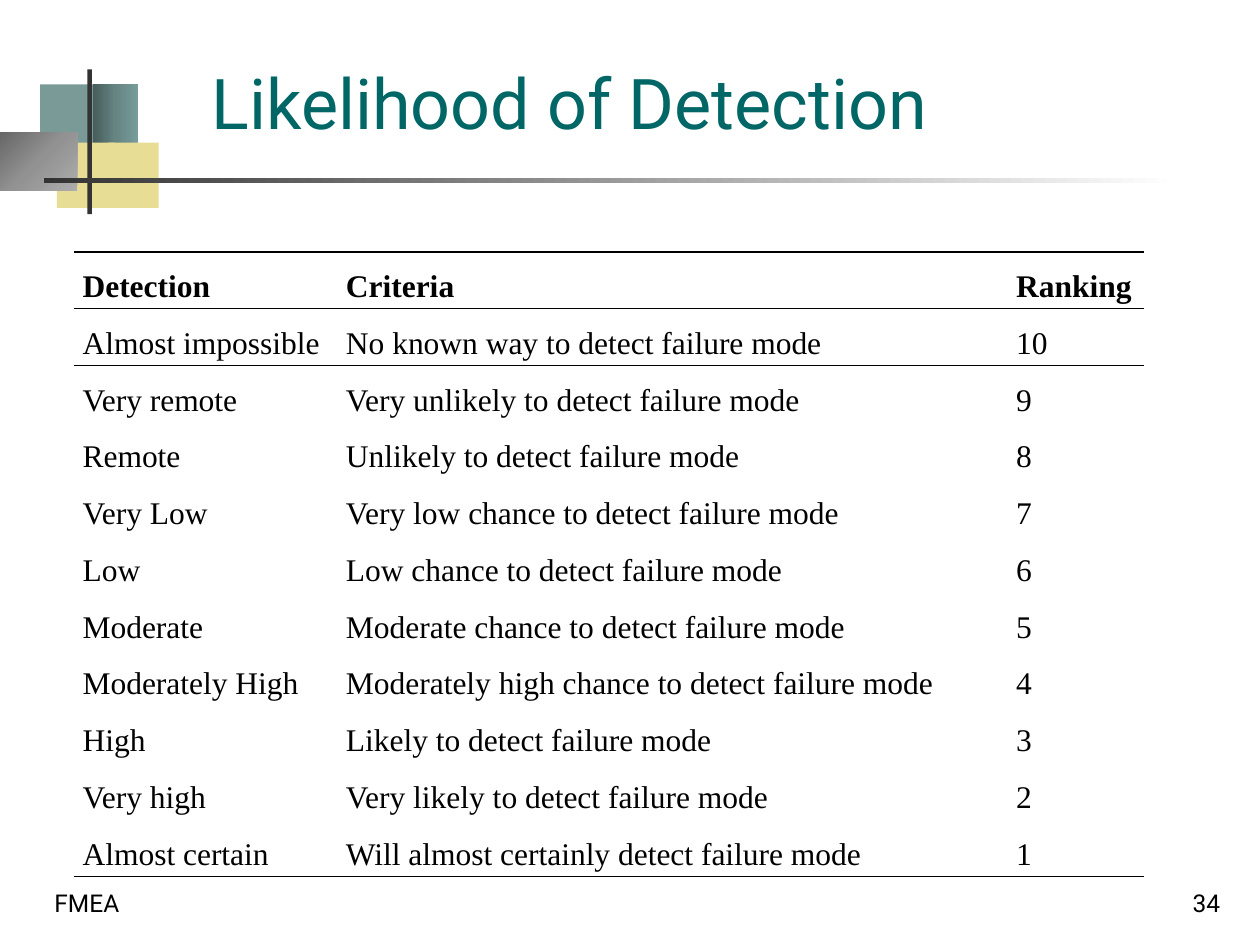
from typing import NamedTuple

from lxml import etree
from pptx import Presentation
from pptx.dml.color import RGBColor
from pptx.enum.shapes import MSO_SHAPE
from pptx.enum.text import MSO_ANCHOR, PP_ALIGN
from pptx.oxml import parse_xml
from pptx.oxml.ns import nsdecls, qn
from pptx.util import Pt

RECTANGLE = MSO_SHAPE.RECTANGLE
BOTTOM = MSO_ANCHOR.BOTTOM
LEFT, RIGHT = PP_ALIGN.LEFT, PP_ALIGN.RIGHT
SANS, SERIF = "Roboto", "Times New Roman"
BLACK, TEAL = "000000", "006666"
PLAIN_TABLE_STYLE = "{2D5ABB26-0587-4C30-8999-92F81FD0307C}"
ACROSS = '<a:lin ang="0" scaled="1"/>'
FROM_CORNER = '<a:path path="circle"><a:fillToRect r="100000" b="100000"/></a:path>'

ROW_HEIGHT = 32.4
COLUMN_WIDTHS = (150.5, 383, 78)
HEADINGS = ("Detection", "Criteria", "Ranking")
LEVELS = (
    ("Almost impossible", "No known way to detect failure mode"),
    ("Very remote", "Very unlikely to detect failure mode"),
    ("Remote", "Unlikely to detect failure mode"),
    ("Very Low", "Very low chance to detect failure mode"),
    ("Low", "Low chance to detect failure mode"),
    ("Moderate", "Moderate chance to detect failure mode"),
    ("Moderately High", "Moderately high chance to detect failure mode"),
    ("High", "Likely to detect failure mode"),
    ("Very high", "Very likely to detect failure mode"),
    ("Almost certain", "Will almost certainly detect failure mode"),
)


class Block(NamedTuple):
    """A decorative rectangle; several colours make an even gradient."""
    left: float
    top: float
    width: float
    height: float
    colors: tuple[str, ...]
    direction: str = ACROSS


class Label(NamedTuple):
    """A free-standing line of text, anchored to the bottom of its box."""
    text: str
    left: float
    top: float
    width: float
    height: float
    size: float
    color: str = BLACK
    align: PP_ALIGN = LEFT


BLOCKS = (
    Block(23, 48.2, 34.5, 37.4, ("7A9A98",)),
    Block(53.2, 48.2, 25.8, 37.4, ("475D5B", "658482", "789C9A")),
    Block(32.6, 81.5, 33, 37.4, ("E7DD95",)),
    Block(62, 81.5, 28.7, 37.4, ("E7DD95",)),
    Block(0, 75.6, 44.2, 33.3, ("676767", "929292", "ADADAD"), FROM_CORNER),
    Block(50, 39.6, 2.5, 82.8, ("333333",)),
    Block(25.2, 102, 648, 2.5, ("333333", "FFFFFF")),
)
LABELS = (
    Label("Likelihood of Detection", 114, 24, 559, 61.8, 40, TEAL),
    Label("FMEA", 24, 492, 150, 36, 14),
    Label("34", 554.4, 492, 150, 36, 14, align=RIGHT),
)


def rgb(color: str) -> RGBColor:
    """Turn a hex string into a colour."""
    return RGBColor.from_string(color)


def write(frame, text: str, *, size: float, font: str = SANS, color: str = BLACK,
          bold: bool = False, align: PP_ALIGN = LEFT, spacing: float = 1.0) -> None:
    """Put one formatted paragraph into a text frame."""
    paragraph = frame.paragraphs[0]
    paragraph.alignment = align
    paragraph.line_spacing = spacing
    run = paragraph.add_run()
    run.text = text
    run.font.size = Pt(size)
    run.font.name = font
    run.font.bold = bold
    run.font.color.rgb = rgb(color)


def draw_block(slide, block: Block) -> None:
    """Draw a rectangle with a solid or gradient fill and no outline."""
    shape = slide.shapes.add_shape(RECTANGLE, *map(Pt, block[:4]))
    shape.shadow.inherit = False
    shape.line.fill.background()
    if len(block.colors) == 1:
        shape.fill.solid()
        shape.fill.fore_color.rgb = rgb(block.colors[0])
        return
    step = 100000 // (len(block.colors) - 1)
    stops = "".join(f'<a:gs pos="{i * step}"><a:srgbClr val="{color}"/></a:gs>'
                    for i, color in enumerate(block.colors))
    gradient = parse_xml(f'<a:gradFill {nsdecls("a")} rotWithShape="1">'
                         f'<a:gsLst>{stops}</a:gsLst>{block.direction}</a:gradFill>')
    shape.element.spPr.find(qn("a:prstGeom")).addnext(gradient)


def draw_label(slide, label: Label) -> None:
    """Draw a text box holding one label."""
    frame = slide.shapes.add_textbox(*map(Pt, label[1:5])).text_frame
    frame.word_wrap = True
    frame.vertical_anchor = BOTTOM
    write(frame, label.text, size=label.size, color=label.color, align=label.align)


def add_border(cell, side: str) -> None:
    """Add a one-point black rule to a cell's top (T) or bottom (B)."""
    properties = cell._tc.get_or_add_tcPr()
    line = etree.SubElement(properties, qn(f"a:ln{side}"), w=str(Pt(1)))
    fill = etree.SubElement(line, qn("a:solidFill"))
    etree.SubElement(fill, qn("a:srgbClr"), val=BLACK)


def draw_ranking_table(slide) -> None:
    """Draw the detection table, ranked from most to least severe."""
    ranked = [(*level, str(len(LEVELS) - i)) for i, level in enumerate(LEVELS)]
    rows = [HEADINGS, *ranked]
    graphic = slide.shapes.add_table(
        len(rows), len(HEADINGS), Pt(42), Pt(144),
        Pt(sum(COLUMN_WIDTHS)), Pt(ROW_HEIGHT * len(rows)))
    table = graphic.table
    table.first_row = table.horz_banding = False
    next(graphic.element.iter(qn("a:tableStyleId"))).text = PLAIN_TABLE_STYLE
    for column, width in zip(table.columns, COLUMN_WIDTHS):
        column.width = Pt(width)
    for r, texts in enumerate(rows):
        table.rows[r].height = Pt(ROW_HEIGHT)
        for c, text in enumerate(texts):
            cell = table.cell(r, c)
            cell.margin_left = cell.margin_right = Pt(5.2)
            cell.margin_top = cell.margin_bottom = 0
            if r <= 1:
                add_border(cell, "T")
            if r in (0, len(rows) - 1):
                add_border(cell, "B")
            cell.fill.background()
            write(cell.text_frame, text, size=18, font=SERIF, bold=r == 0, spacing=1.5)


def main() -> None:
    """Build and save the slide."""
    deck = Presentation()
    deck.slide_width, deck.slide_height = Pt(720), Pt(540)
    slide = deck.slides.add_slide(deck.slide_layouts[6])
    for block in BLOCKS:
        draw_block(slide, block)
    for label in LABELS:
        draw_label(slide, label)
    draw_ranking_table(slide)
    deck.save("out.pptx")


main()
